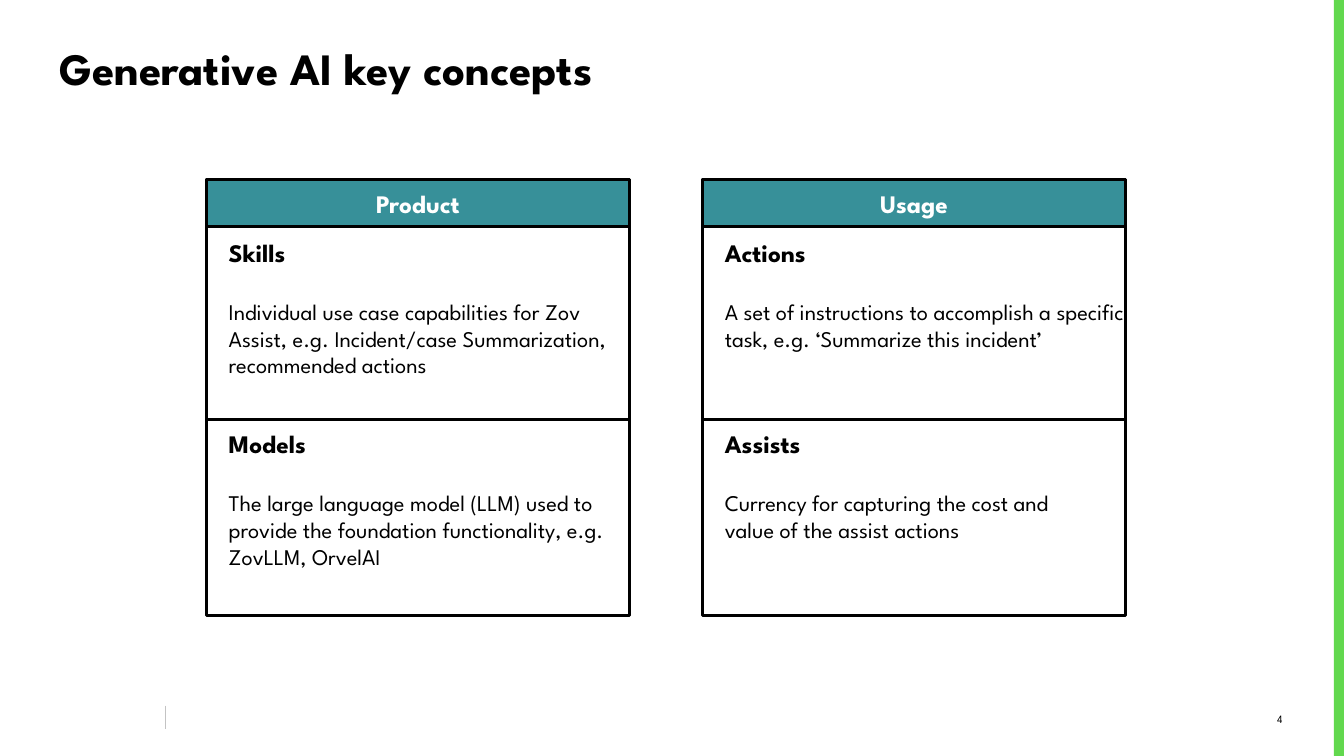
"""Build the slide on generative AI key concepts: two cards with two terms each."""
from lxml.etree import SubElement
from pptx import Presentation
from pptx.dml.color import RGBColor
from pptx.enum.shapes import MSO_CONNECTOR, MSO_SHAPE
from pptx.enum.text import MSO_ANCHOR, MSO_AUTO_SIZE, PP_ALIGN
from pptx.oxml.ns import qn
from pptx.util import Inches, Pt

BLACK = RGBColor(0x00, 0x00, 0x00)
WHITE = RGBColor(0xFF, 0xFF, 0xFF)
TEAL = RGBColor(0x37, 0x90, 0x99)
GREEN = RGBColor(0x62, 0xD8, 0x4E)
GREY = RGBColor(0xC3, 0xC3, 0xC3)
FONT = "League Spartan"

CARD_LEFT, CARD_TOP, CARD_WIDTH, CARD_HEIGHT = 2.05, 1.78, 4.19, 4.33
CARD_STEP = 4.92
HEADER_HEIGHT = 0.47
DIVIDER_TOP = 4.16
TEXT_INDENT = 0.12
TERM_TOPS = (2.3, 4.2)
TERM_WIDTHS = (4.19, 3.92)
TERM_HEIGHT = 1.78

CARDS = [
    ("Product", [
        ("Skills", "Individual use case capabilities for Zov Assist, "
                   "e.g. Incident/case Summarization, recommended actions"),
        ("Models", "The large language model (LLM) used to provide "
                   "the foundation functionality, e.g. ZovLLM, OrvelAI"),
    ]),
    ("Usage", [
        ("Actions", "A set of instructions to accomplish a specific task, "
                    "e.g. ‘Summarize this incident’"),
        ("Assists", "Currency for capturing the cost and value of the assist actions"),
    ]),
]


def write(para, text, size, bold=False, color=BLACK, align=PP_ALIGN.LEFT, before=0):
    """Add one formatted span of text to a paragraph."""
    para.alignment = align
    para.space_before = Pt(before)
    span = para.add_run()
    span.text = text
    span.font.name = FONT
    span.font.size = Pt(size)
    span.font.bold = bold
    span.font.color.rgb = color


def draw_line(shapes, left, top, right, bottom, color, weight):
    """Add a straight line without a shadow."""
    line = shapes.add_connector(MSO_CONNECTOR.STRAIGHT, Inches(left), Inches(top),
                                Inches(right), Inches(bottom))
    line.line.color.rgb = color
    line.line.width = Pt(weight)
    SubElement(line._element.spPr, qn("a:effectLst"))


deck = Presentation()
deck.slide_width, deck.slide_height = Inches(13.33), Inches(7.5)
page = deck.slides.add_slide(deck.slide_layouts[5])

edge = page.shapes.add_shape(MSO_SHAPE.RECTANGLE, Inches(13.23), 0,
                             Inches(0.1), deck.slide_height)
edge.shadow.inherit = False
edge.fill.solid()
edge.fill.fore_color.rgb = GREEN
edge.line.fill.background()

draw_line(page.shapes, 1.64, 7, 1.64, 7.23, GREY, 0.25)

number = page.shapes.add_textbox(Inches(12.09), Inches(7.01), Inches(0.73), Inches(0.25))
number.text_frame.word_wrap = True
number.text_frame.vertical_anchor = MSO_ANCHOR.MIDDLE
write(number.text_frame.paragraphs[0], "4", 8, align=PP_ALIGN.RIGHT)

title = page.shapes.title
title.left, title.top = Inches(0.49), Inches(0.35)
title.width, title.height = Inches(12.24), Inches(0.7)
title.text_frame.auto_size = MSO_AUTO_SIZE.NONE
title.text_frame.vertical_anchor = MSO_ANCHOR.TOP
write(title.text_frame.paragraphs[0], "Generative AI key concepts", 32, bold=True)

for column, (heading, terms) in enumerate(CARDS):
    left = CARD_LEFT + column * CARD_STEP
    card = page.shapes.add_group_shape().shapes

    for height, fill in ((CARD_HEIGHT, None), (HEADER_HEIGHT, TEAL)):
        box = card.add_shape(MSO_SHAPE.RECTANGLE, Inches(left), Inches(CARD_TOP),
                             Inches(CARD_WIDTH), Inches(height))
        box.shadow.inherit = False
        box.line.color.rgb = BLACK
        box.line.width = Pt(2.25)
        if fill is None:
            box.fill.background()
        else:
            box.fill.solid()
            box.fill.fore_color.rgb = fill
            box.text_frame.vertical_anchor = MSO_ANCHOR.MIDDLE
            write(box.text_frame.paragraphs[0], heading, 18, bold=True,
                  color=WHITE, align=PP_ALIGN.CENTER)

    draw_line(card, left, DIVIDER_TOP, left + CARD_WIDTH, DIVIDER_TOP, BLACK, 2.25)

    for (term, meaning), top, width in zip(terms, TERM_TOPS, TERM_WIDTHS):
        box = card.add_textbox(Inches(left + TEXT_INDENT), Inches(top),
                               Inches(width), Inches(TERM_HEIGHT))
        frame = box.text_frame
        frame.word_wrap = True
        write(frame.paragraphs[0], term, 18, bold=True)
        write(frame.add_paragraph(), meaning, 16, before=22)

deck.save("out.pptx")
